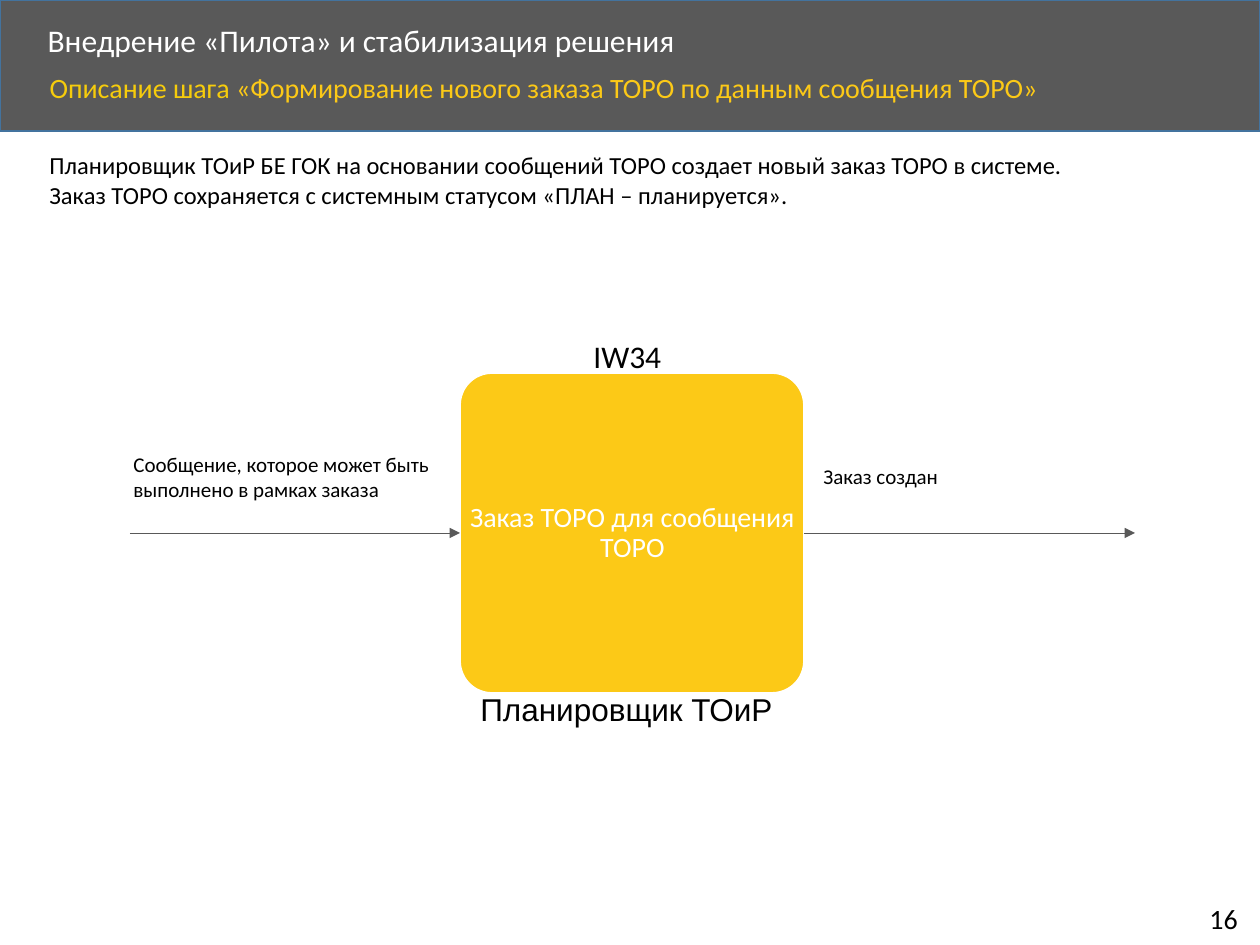
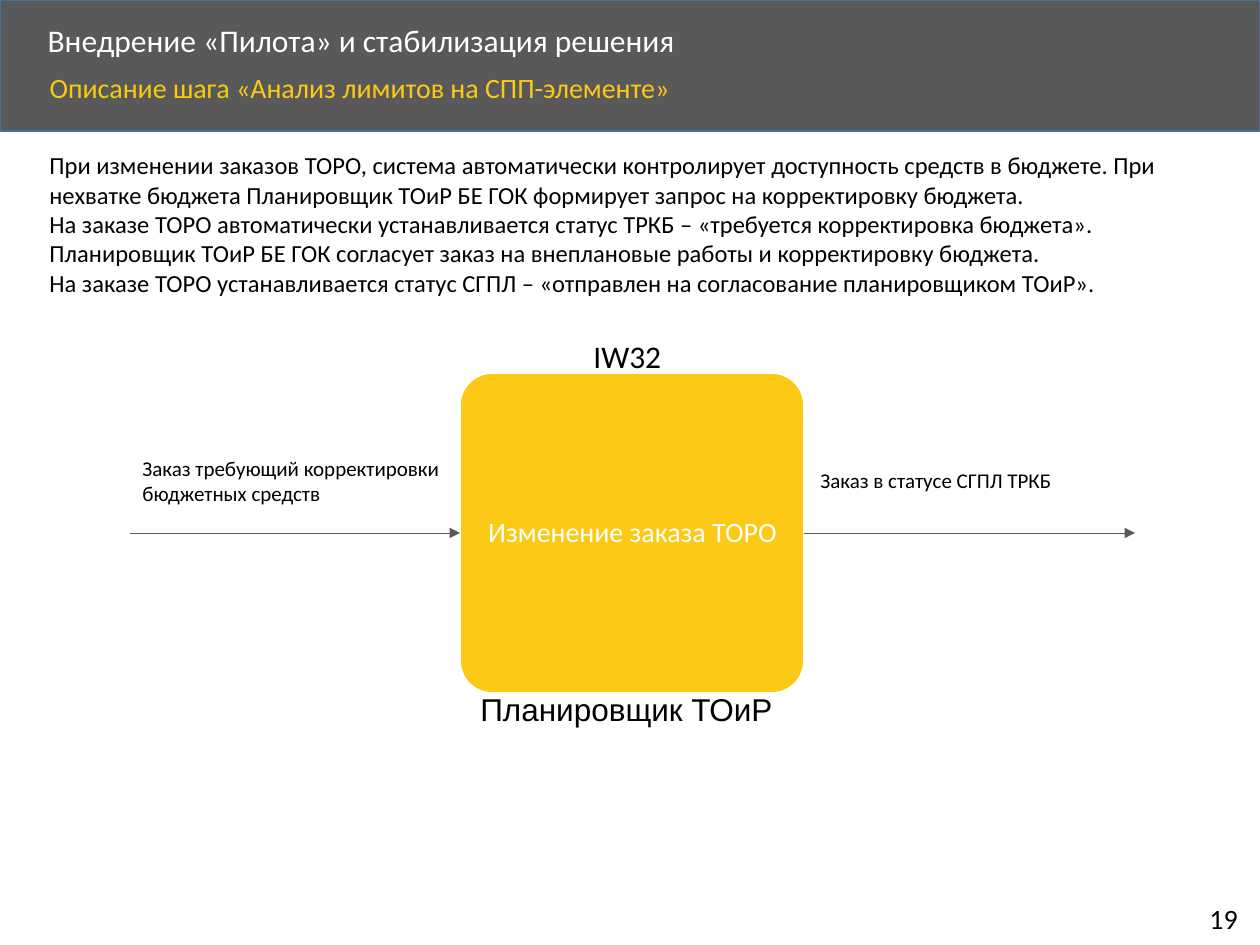
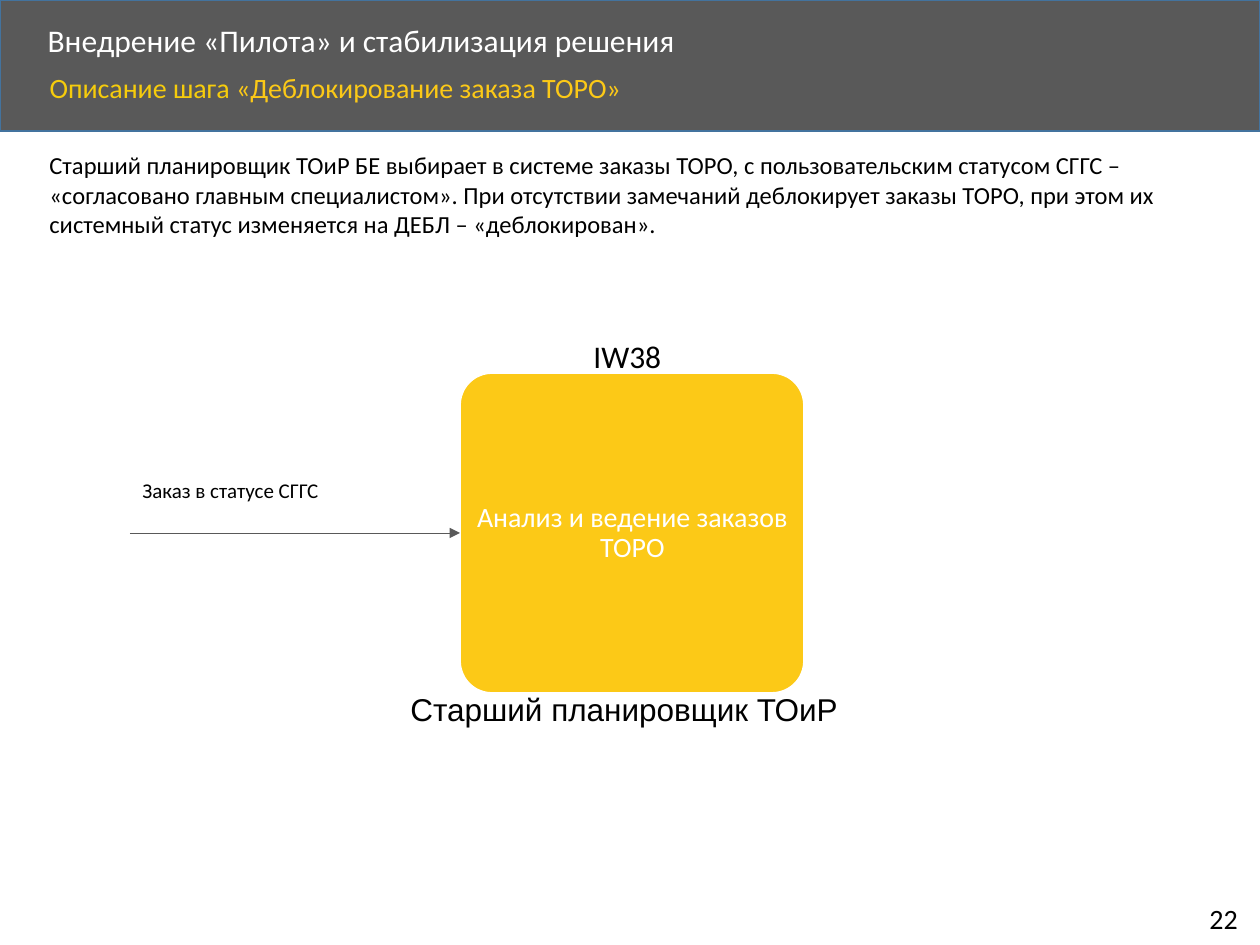
from dataclasses import dataclass

from lxml import etree
from pptx import Presentation
from pptx.dml.color import RGBColor
from pptx.enum.shapes import MSO_CONNECTOR as Connector, MSO_SHAPE as Preset
from pptx.enum.text import MSO_ANCHOR as Anchor, MSO_AUTO_SIZE as AutoSize, PP_ALIGN as Align
from pptx.oxml.ns import qn
from pptx.util import Emu, Pt

PX = 914400 / 126
WHITE = RGBColor(0xFF, 0xFF, 0xFF)
BLACK = RGBColor(0, 0, 0)
GRAY = RGBColor(0x59, 0x59, 0x59)
BAND_LINE = RGBColor(0x43, 0x73, 0x9E)
YELLOW = RGBColor(0xFC, 0xC9, 0x17)
SUBTITLE_YELLOW = RGBColor(0xF6, 0xCC, 0x0C)
TITLE = "Внедрение «Пилота» и стабилизация решения"
LEFT_SIDE, RIGHT_SIDE = 1, 3


@dataclass
class Box:
    left: int
    top: int
    width: int
    height: int

    def inner(self, left, top, width, height):
        return Box(self.left + left, self.top + top, width, height)

    def emu(self):
        return [px(n) for n in (self.left, self.top, self.width, self.height)]


HEADER = Box(0, 0, 1260, 131)
DESCRIPTION = Box(37, 144, 1192, 72)
DIAGRAM = Box(130, 331, 1005, 403)
PAGE_NUMBER = Box(1197, 895, 58, 47)

STEPS = [
    dict(
        step="«Формирование нового заказа ТОРО по данным сообщения ТОРО»",
        description=[
            "Планировщик ТОиР БЕ ГОК на основании сообщений ТОРО создает новый заказ ТОРО в системе.",
            "Заказ ТОРО сохраняется с системным статусом «ПЛАН – планируется».",
        ],
        diagram=dict(
            code="IW34",
            action="Заказ ТОРО для сообщения ТОРО",
            role=("Планировщик ТОиР", 338, 329),
            source=("Сообщение, которое может быть выполнено в рамках заказа", -9, 114),
            result=("Заказ создан", 681, 126),
        ),
        number="16",
    ),
    dict(
        step="«Анализ лимитов на СПП-элементе»",
        description=[
            "При изменении заказов ТОРО, система автоматически контролирует доступность средств "
            "в бюджете. При нехватке бюджета Планировщик ТОиР БЕ ГОК формирует запрос "
            "на корректировку бюджета.",
            "На заказе ТОРО автоматически устанавливается статус ТРКБ – "
            "«требуется корректировка бюджета».",
            "Планировщик ТОиР БЕ ГОК согласует заказ на внеплановые работы и корректировку бюджета.",
            "На заказе ТОРО устанавливается статус СГПЛ – "
            "«отправлен на согласование планировщиком ТОиР».",
        ],
        diagram=dict(
            code="IW32",
            action="Изменение заказа ТОРО",
            role=("Планировщик ТОиР", 338, 329),
            source=("Заказ требующий корректировки бюджетных средств", 0, 118),
            result=("Заказ в статусе СГПЛ ТРКБ", 678, 130),
        ),
        number="19",
    ),
    dict(
        step="«Деблокирование заказа ТОРО»",
        description=[
            "Старший планировщик ТОиР БЕ выбирает в системе заказы ТОРО, с пользовательским "
            "статусом СГГС – «согласовано главным специалистом». При отсутствии замечаний "
            "деблокирует заказы ТОРО, при этом их системный статус изменяется на "
            "ДЕБЛ – «деблокирован».",
        ],
        diagram=dict(
            code="IW38",
            action="Анализ и ведение заказов ТОРО",
            role=("Старший планировщик ТОиР", 268, 455),
            source=("Заказ в статусе СГГС", 0, 140),
        ),
        number="22",
    ),
]


def px(count):
    return Emu(round(count * PX))


def format_run(run, size, color=BLACK, font="Calibri"):
    run.font.name = font
    run.font.size = Pt(size)
    run.font.color.rgb = color


def add_text(shapes, box, text, size, color=BLACK, font="Calibri", wrap=True):
    shape = shapes.add_textbox(*box.emu())
    text_frame = shape.text_frame
    text_frame.text = text
    text_frame.word_wrap = wrap
    text_frame.auto_size = AutoSize.SHAPE_TO_FIT_TEXT
    for paragraph in text_frame.paragraphs:
        for run in paragraph.runs:
            format_run(run, size, color, font)
    return shape


def add_panel(shapes, preset, box, fill, line):
    shape = shapes.add_shape(preset, *box.emu())
    shape.shadow.inherit = False
    shape.fill.solid()
    shape.fill.fore_color.rgb = fill
    shape.line.color.rgb = line
    shape.line.width = Pt(1)
    return shape


def add_band(slide, box):
    """Draw the header band and move it to the layout, behind all content."""
    band = add_panel(slide.shapes, Preset.RECTANGLE, box, GRAY, BAND_LINE)
    slide.slide_layout.shapes.element.insert(2, band.element)


def fill_placeholder(shape, box, parts, size, anchor):
    shape.left, shape.top, shape.width, shape.height = box.emu()
    text_frame = shape.text_frame
    text_frame.auto_size = AutoSize.NONE
    text_frame.word_wrap = True
    text_frame.vertical_anchor = anchor
    paragraph = text_frame.paragraphs[0]
    properties = paragraph._p.get_or_add_pPr()
    properties.set("marL", "0")
    properties.set("indent", "0")
    etree.SubElement(properties, qn("a:buNone"))
    paragraph.alignment = Align.LEFT
    paragraph.line_spacing = 0.9
    paragraph.space_before = Pt(0)
    for text, color in parts:
        run = paragraph.add_run()
        run.text = text
        format_run(run, size, color)


def add_header(slide, box, step):
    fill_placeholder(slide.shapes.title, box.inner(35, 18, 1017, 48),
                     [(TITLE, WHITE)], 18, Anchor.MIDDLE)
    fill_placeholder(slide.placeholders[1], box.inner(37, 68, 1090, 57),
                     [("Описание шага ", SUBTITLE_YELLOW), (step, YELLOW)], 16, Anchor.TOP)


def add_action(slide, box, text):
    """Rounded block with its caption, grouped."""
    group = slide.shapes.add_group_shape()
    block = add_panel(group.shapes, Preset.ROUNDED_RECTANGLE, box, YELLOW, WHITE)
    block.adjustments[0] = 0.1
    caption = add_text(group.shapes, box.inner(8, 10, box.width - 15, box.height - 19),
                       text, 16, WHITE)
    text_frame = caption.text_frame
    text_frame.auto_size = AutoSize.NONE
    text_frame.vertical_anchor = Anchor.MIDDLE
    text_frame.margin_left = text_frame.margin_right = px(1)
    text_frame.margin_top = text_frame.margin_bottom = px(1)
    text_frame.paragraphs[0].alignment = Align.CENTER
    text_frame.paragraphs[0].line_spacing = 0.9
    return block


def add_arrow(slide, start, end, y):
    arrow = slide.shapes.add_connector(Connector.STRAIGHT, px(start), px(y), px(end), px(y))
    arrow.line.color.rgb = GRAY
    arrow.line.width = Pt(0.5)
    etree.SubElement(arrow.line._get_or_add_ln(), qn("a:tailEnd"), type="triangle")
    etree.SubElement(arrow._element.spPr, qn("a:effectLst"))
    return arrow


def add_diagram(slide, box, code, action, role, source, result=None):
    block_box = box.inner(330, 42, 344, 320)
    block = add_action(slide, block_box, action)
    middle = block_box.top + block_box.height // 2

    # Incoming and outgoing flows
    arrow = add_arrow(slide, box.left, block_box.left, middle)
    arrow.end_connect(block, LEFT_SIDE)
    flows = [source]
    if result:
        arrow = add_arrow(slide, block_box.left + block_box.width, box.left + box.width, middle)
        arrow.begin_connect(block, RIGHT_SIDE)
        flows.append(result)
    for text, left, top in flows:
        add_text(slide.shapes, box.inner(left, top, 324, 38), text, 12)

    # Transaction code above, responsible role below
    add_text(slide.shapes, box.inner(451, 0, 94, 50), code, 18, wrap=False)
    role_name, role_left, role_width = role
    add_text(slide.shapes, box.inner(role_left, 353, role_width, 50), role_name, 18, font="Arial")


def add_step_slide(presentation, step, description, diagram, number):
    slide = presentation.slides.add_slide(presentation.slide_layouts[1])
    add_header(slide, HEADER, step)
    add_text(slide.shapes, DESCRIPTION, "\n".join(description), 14)
    add_diagram(slide, DIAGRAM, **diagram)
    add_text(slide.shapes, PAGE_NUMBER, number, 16, wrap=False)


def main():
    presentation = Presentation()
    presentation.slide_width, presentation.slide_height = px(1260), px(945)
    for step in STEPS:
        add_step_slide(presentation, **step)
    add_band(presentation.slides[0], HEADER)
    presentation.save("out.pptx")


if __name__ == "__main__":
    main()
